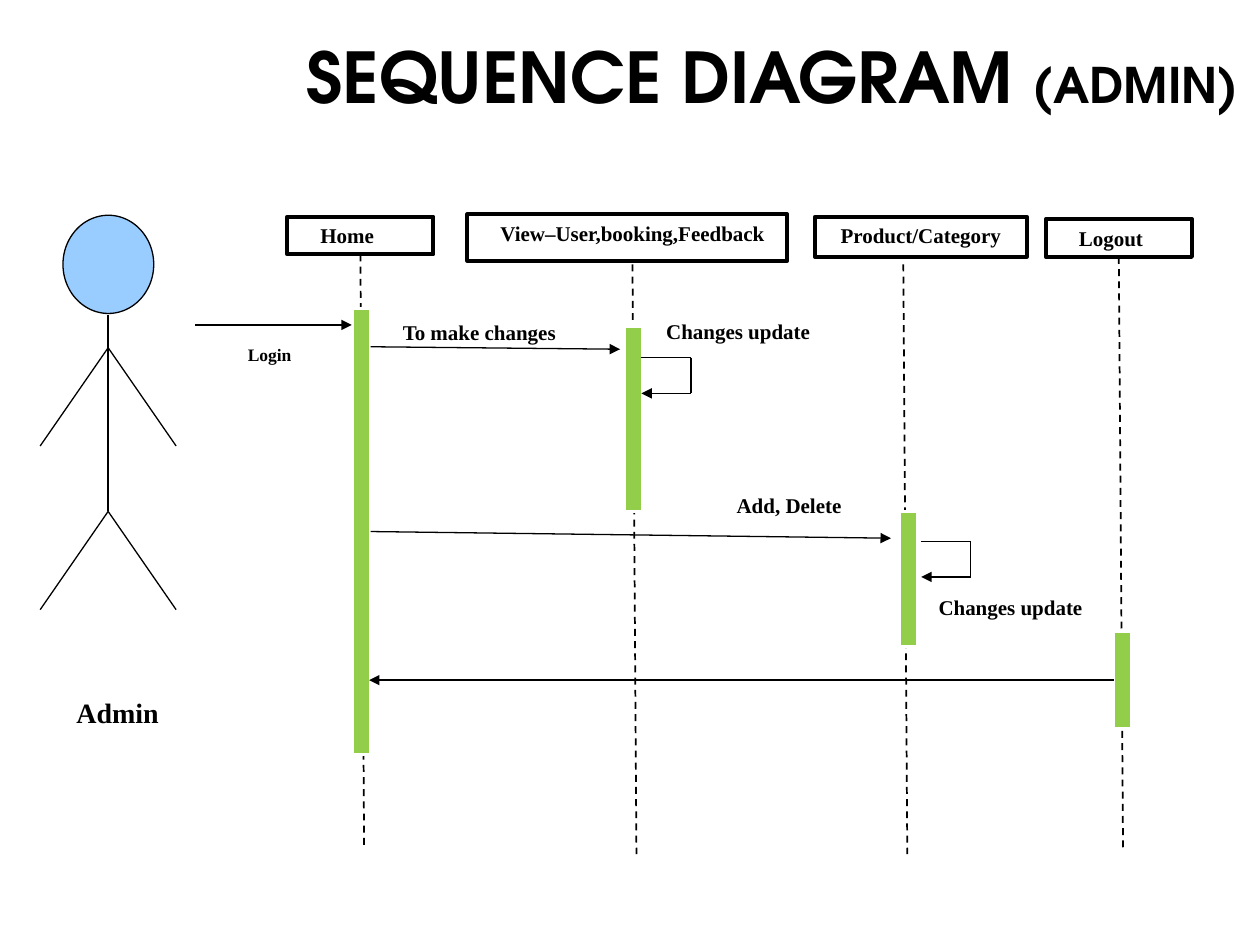
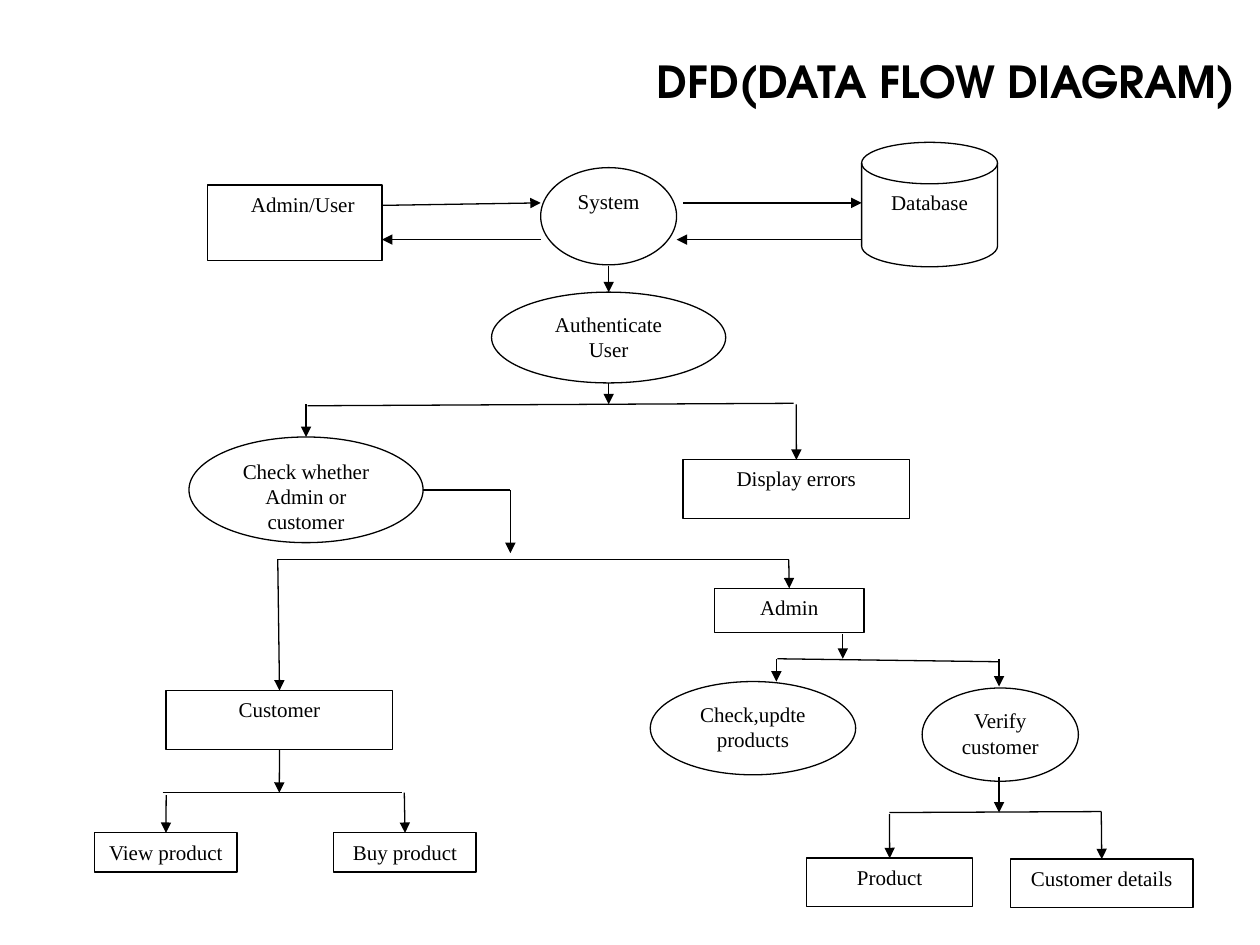
"""Build a sequence diagram slide and a data flow diagram slide."""
from lxml import etree
from pptx import Presentation
from pptx import util as u
from pptx.dml.color import RGBColor
from pptx.enum import dml, shapes, text
from pptx.oxml.ns import qn

BLACK = RGBColor(0x00, 0x00, 0x00)
WHITE = RGBColor(0xFF, 0xFF, 0xFF)
SKY = RGBColor(0x99, 0xCC, 0xFF)
GREEN = RGBColor(0x92, 0xCE, 0x4A)
HEADING_FONT = "TeX Gyre Adventor"
BODY_FONT = "Times New Roman"

RECT = shapes.MSO_SHAPE.RECTANGLE
OVAL = shapes.MSO_SHAPE.OVAL
DISK = shapes.MSO_SHAPE.FLOWCHART_MAGNETIC_DISK
LEFT = text.PP_ALIGN.LEFT
CENTER = text.PP_ALIGN.CENTER
RIGHT = text.PP_ALIGN.RIGHT
TOP = text.MSO_ANCHOR.TOP
MIDDLE = text.MSO_ANCHOR.MIDDLE
TOP_SIDE, LEFT_SIDE, BOTTOM_SIDE, RIGHT_SIDE = range(4)


def write(tf, runs, font=BODY_FONT, bold=False, align=CENTER, anchor=TOP, spacing=None):
    """Fill a text frame with (text, size) runs in one format."""
    tf.word_wrap = True
    tf.vertical_anchor = anchor
    p = tf.paragraphs[0]
    p.alignment = align
    p.line_spacing = spacing
    for words, size in runs:
        r = p.add_run()
        r.text = words
        r.font.name = font
        r.font.size = u.Pt(size)
        r.font.bold = bold
        r.font.color.rgb = BLACK


class Diagram:
    """Hold the drawing style and the current slide."""

    def __init__(self, prs):
        self.prs = prs
        self.s = None

    def new_slide(self):
        self.s = self.prs.slides.add_slide(self.prs.slide_layouts[6])

    def title(self, runs, left, top, width):
        sp = self.s.shapes.add_textbox(u.Cm(left), u.Cm(top), u.Cm(width), u.Cm(1.8))
        write(sp.text_frame, runs, font=HEADING_FONT, bold=True, align=RIGHT,
              anchor=MIDDLE, spacing=0.9)

    def box(self, x, y, w, h, words="", kind=RECT, fill=WHITE, line=BLACK, weight=0.75,
            size=12, indent=0, **fmt):
        sp = self.s.shapes.add_shape(kind, u.Cm(x), u.Cm(y), u.Cm(w), u.Cm(h))
        sp.shadow.inherit = False
        sp.fill.solid()
        sp.fill.fore_color.rgb = fill
        if line is None:
            sp.line.fill.background()
        else:
            sp.line.color.rgb = line
            sp.line.width = u.Pt(weight)
        if words:
            sp.text_frame.margin_left = u.Cm(0.25 + indent)
            write(sp.text_frame, [(words, size)], **fmt)
        return sp

    def label(self, x, y, w, h, words, **fmt):
        return self.box(x, y, w, h, words, line=None, bold=True, **fmt)

    def bar(self, x, y, h):
        return self.box(x, y, 0.36, h, fill=GREEN, line=WHITE, weight=1.5)

    def line(self, x1, y1, x2, y2, weight=0.75, dashed=False, arrow=False,
             begin=None, end=None):
        c = self.s.shapes.add_connector(
            shapes.MSO_CONNECTOR.STRAIGHT, u.Cm(x1), u.Cm(y1), u.Cm(x2), u.Cm(y2))
        if begin:
            c.begin_connect(*begin)
        if end:
            c.end_connect(*end)
        c.line.color.rgb = BLACK
        c.line.width = u.Pt(weight)
        if dashed:
            c.line.dash_style = dml.MSO_LINE.DASH
        if arrow:
            etree.SubElement(c.line._get_or_add_ln(), qn("a:tailEnd"), type="triangle")
        etree.SubElement(c._element.spPr, qn("a:effectLst"))
        return c

    def arrow(self, x1, y1, x2, y2, **ends):
        return self.line(x1, y1, x2, y2, arrow=True, **ends)

    def lifeline(self, x, y, **ends):
        return self.line(x, y, x + 0.08, y + 11.89, weight=1, dashed=True, **ends)

    def self_call(self, x, y, w=1, h=0.72):
        self.line(x, y, x + w, y)
        self.line(x + w, y, x + w, y + h)
        self.arrow(x + w, y + h, x, y + h)

    def actor(self, x, head_y):
        self.box(x - 0.91, head_y, 1.83, 1.98, kind=OVAL, fill=SKY)
        shoulder, hip = head_y + 2.67, head_y + 5.97
        self.line(x, head_y + 2.01, x, hip)
        for joint in (shoulder, hip):
            for reach in (-1.37, 1.37):
                self.line(x, joint, x + reach, joint + 1.98)


def sequence_slide(d):
    """Draw the admin sequence diagram."""
    d.new_slide()
    d.title([("SEQUENCE DIAGRAM ", 40), ("(ADMIN)", 28)], 2.36, 0.74, 22.86)

    header = dict(weight=2.25, bold=True)
    indented = dict(header, align=LEFT, indent=0.42)
    home = d.box(5.79, 4.37, 2.95, 0.76, "Home", anchor=MIDDLE, **indented)
    d.box(9.42, 4.32, 6.45, 0.94, "View–User,booking,Feedback", **indented)
    d.box(16.43, 4.37, 4.27, 0.81, "Product/Category", **header)
    logout = d.box(21.08, 4.42, 2.95, 0.76, "Logout", **indented)

    d.lifeline(7.26, 5.16, begin=(home, BOTTOM_SIDE))
    d.lifeline(12.75, 5.33)
    d.lifeline(18.21, 5.33)
    d.lifeline(22.56, 5.21, begin=(logout, BOTTOM_SIDE))

    d.actor(2.18, 4.34)
    d.label(0.91, 13.89, 2.92, 1.37, "Admin", size=16)
    d.label(3.96, 6.81, 2.95, 0.76, "Login", size=10)
    for x, y, w, words in [
        (7.87, 6.32, 4.01, "To make changes"),
        (13.18, 6.3, 3.68, "Changes update"),
        (14.6, 9.8, 3.23, "Add, Delete"),
        (18.67, 11.86, 3.68, "Changes update"),
    ]:
        d.label(x, y, w, 0.8, words, align=LEFT)

    home_bar = d.bar(7.11, 6.22, 8.99)
    d.bar(12.6, 6.58, 3.73)
    d.bar(18.14, 10.31, 2.72)
    logout_bar = d.bar(22.45, 12.73, 1.96)

    d.arrow(3.94, 6.55, 7.09, 6.55)
    d.arrow(7.47, 6.99, 12.5, 7.04)
    d.arrow(7.47, 10.72, 17.96, 10.85, begin=(home_bar, RIGHT_SIDE))
    d.arrow(22.45, 13.71, 7.44, 13.71, begin=(logout_bar, LEFT_SIDE))
    d.self_call(12.93, 7.21)
    d.self_call(18.57, 10.91)


def data_flow_slide(d):
    """Draw the data flow diagram."""
    d.new_slide()
    d.title([("DFD(DATA FLOW DIAGRAM)", 25.2)], 9.55, 0.8, 15.6)

    d.box(4.19, 3.73, 3.51, 1.52, "Admin/User", indent=0.32)
    d.box(17.37, 2.87, 2.74, 2.51, "Database", kind=DISK)
    for x, y, w, h, words in [
        (10.9, 3.38, 2.74, 1.96, "System"),
        (9.91, 5.89, 4.72, 1.83, "Authenticate User"),
        (3.81, 8.81, 4.72, 2.13, "Check whether Admin or customer"),
        (13.11, 13.74, 4.14, 1.88, "Check,updte products"),
        (18.59, 13.87, 3.15, 1.88, "Verify customer"),
    ]:
        d.box(x, y, w, h, words, kind=OVAL)

    errors = d.box(13.77, 9.27, 4.57, 1.19, "Display errors")
    customer = d.box(3.35, 13.92, 4.57, 1.19, "Customer")
    admin = d.box(14.4, 11.86, 3.02, 0.89, "Admin")
    view = d.box(1.91, 16.79, 2.87, 0.79, "View product")
    buy = d.box(6.73, 16.79, 2.87, 0.79, "Buy product")
    product = d.box(16.26, 17.3, 3.35, 0.97, "Product")
    details = d.box(20.37, 17.32, 3.68, 0.97, "Customer details")

    for branch in [
        (6.2, 8.18, 16, 8.13),
        (8.53, 9.88, 10.29, 9.88),
        (5.59, 11.28, 15.9, 11.28),
        (3.28, 15.98, 8.1, 15.98),
        (15.67, 13.28, 20.14, 13.34),
        (17.93, 16.38, 22.2, 16.36),
    ]:
        d.line(*branch)

    for flow in [
        (7.7, 4.14, 10.9, 4.09),
        (13.77, 4.09, 17.37, 4.09),
        (10.9, 4.83, 7.7, 4.83),
        (17.37, 4.83, 13.64, 4.83),
        (12.27, 5.36, 12.27, 5.89),
        (12.27, 7.72, 12.27, 8.15),
        (6.17, 8.15, 6.17, 8.81),
        (10.29, 9.88, 10.29, 11.15),
        (15.65, 13.28, 15.65, 13.74),
        (16.99, 12.78, 16.99, 13.28),
        (20.14, 13.28, 20.14, 13.84),
        (20.14, 15.67, 20.14, 16.38),
    ]:
        d.arrow(*flow)

    for x, y, target in [
        (16.05, 8.15, errors),
        (5.6, 11.28, customer),
        (15.9, 11.28, admin),
        (3.35, 16.03, view),
        (8.15, 15.98, buy),
        (17.93, 16.41, product),
        (22.2, 16.36, details),
    ]:
        d.arrow(x, y, x, y + 1, end=(target, TOP_SIDE))
    d.arrow(5.63, 15.11, 5.63, 15.98, begin=(customer, BOTTOM_SIDE))


def main():
    """Build both slides and save them."""
    prs = Presentation()
    prs.slide_width, prs.slide_height = u.Cm(25.4), u.Cm(19.05)
    d = Diagram(prs)
    sequence_slide(d)
    data_flow_slide(d)
    prs.save("out.pptx")


if __name__ == "__main__":
    main()
